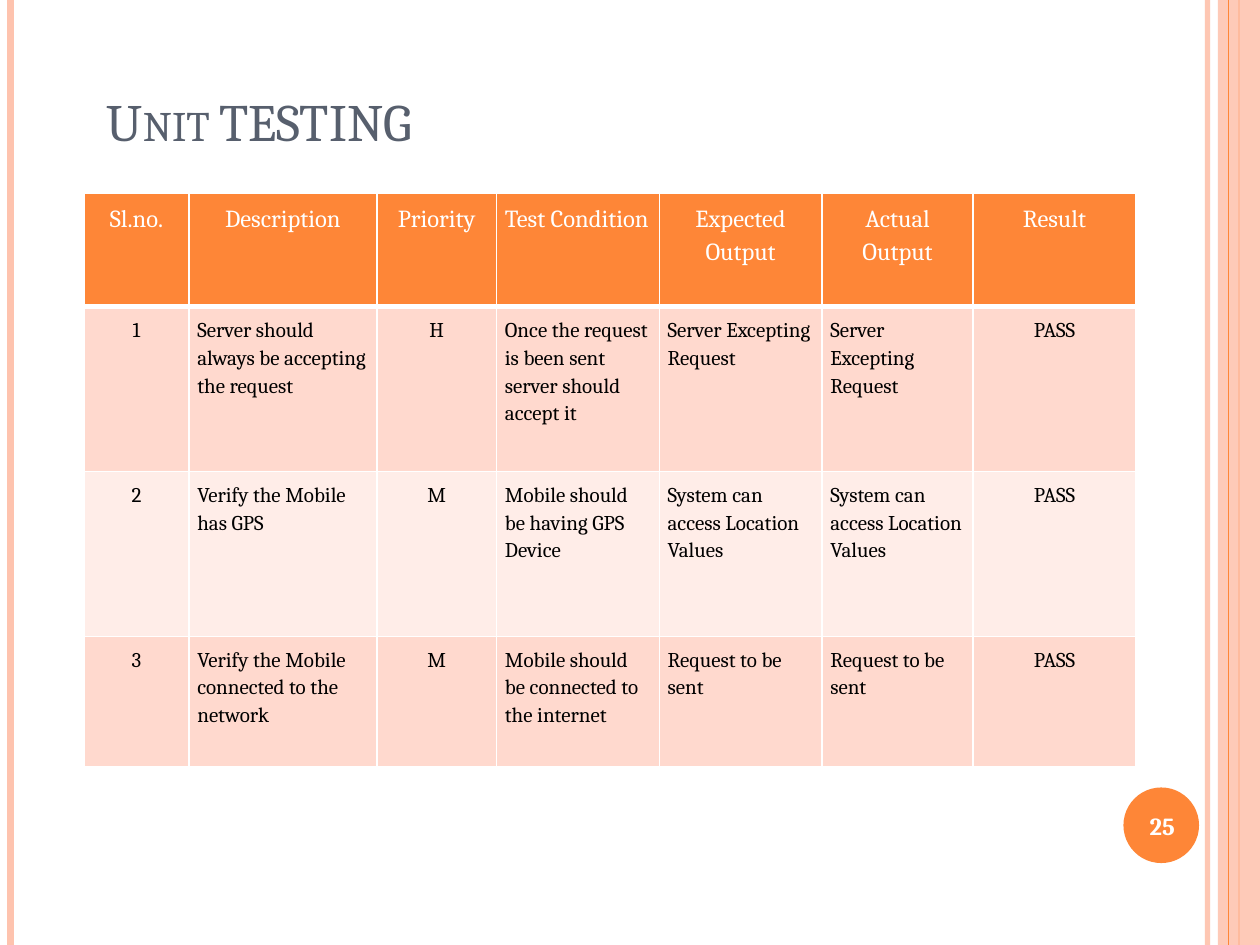
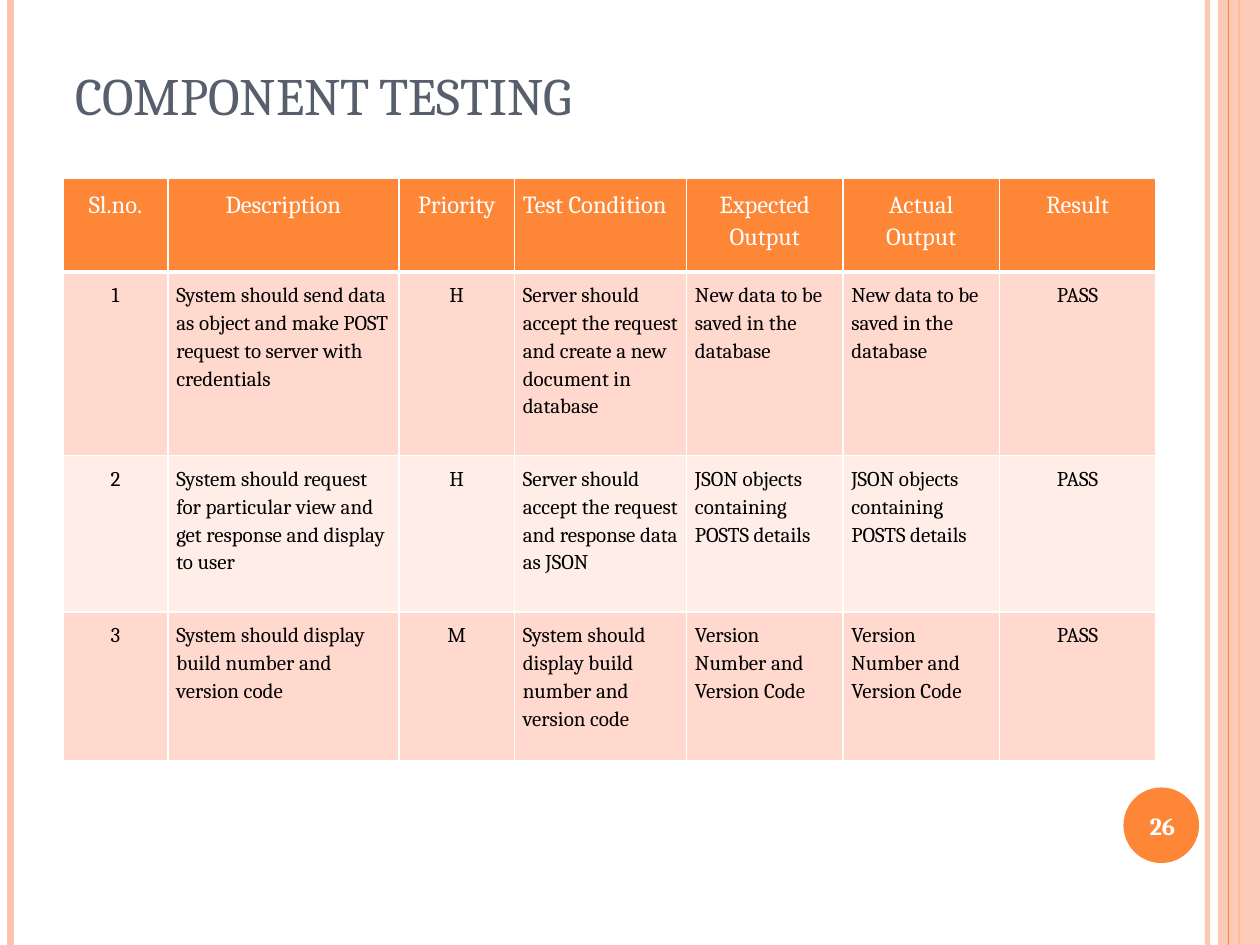
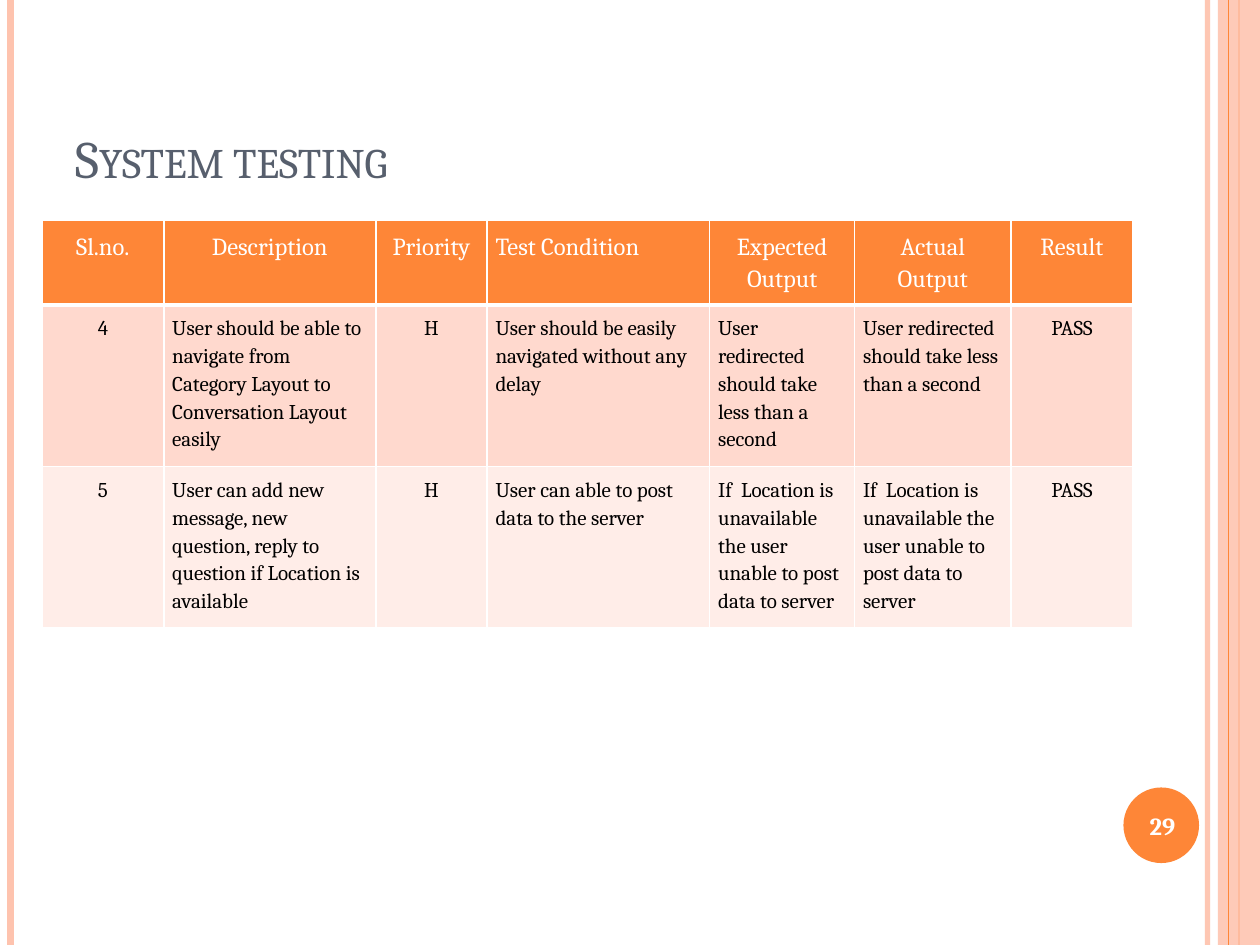
from lxml.etree import SubElement
from pptx import Presentation
from pptx.dml.color import RGBColor
from pptx.enum.shapes import MSO_CONNECTOR, MSO_SHAPE
from pptx.enum.text import MSO_ANCHOR, PP_ALIGN
from pptx.oxml.ns import qn
from pptx.util import Inches, Pt

ORANGE, PEACH, SLATE = "FE8637", "FEC3AE", "575F6D"
WHITE, BLACK = "FFFFFF", "000000"
BANDS = ("FFD9CE", "FFEDE8")
FONT = "Cambria"
COLUMNS, ROWS = 120, 90  # grid of twelfths of an inch
HEADINGS = ("Sl.no.", "Description", "Priority", "Test Condition",
            "Expected Output", "Actual Output", "Result")
CENTRED_HEADINGS = {0, 1, 2, 4, 5, 6}
CENTRED_CELLS = {0, 2, 6}


def grid(units):
    return Inches(units / 12)


def color(hex_value):
    return RGBColor.from_string(hex_value)


def paint(fill, hex_value, opacity=100):
    fill.solid()
    fill.fore_color.rgb = color(hex_value)
    if opacity < 100:
        tone = fill._xPr.find(".//" + qn("a:srgbClr"))
        SubElement(tone, qn("a:alpha"), val=str(opacity * 1000))


def outline_cell(cell, bottom_width):
    properties = cell._tc.get_or_add_tcPr()
    for side, width in (("L", 1), ("R", 1), ("T", 1), ("B", bottom_width)):
        line = SubElement(properties, qn("a:ln" + side), w=str(Pt(width)))
        solid = SubElement(line, qn("a:solidFill"))
        SubElement(solid, qn("a:srgbClr"), val=WHITE)


class TestReport:
    def __init__(self):
        self.deck = Presentation()
        self.deck.slide_width = grid(COLUMNS)
        self.deck.slide_height = grid(ROWS)
        self.page = None

    def start_page(self, number):
        """Add a slide with the side stripes and the numbered badge."""
        self.page = self.deck.slides.add_slide(self.deck.slide_layouts[6])
        paint(self.page.background.fill, WHITE)
        self.stripe(115, PEACH, 3, opacity=93)
        self.stripe(1, PEACH, 4.5)
        self.stripe(118, ORANGE, 1.5)
        self.shape(MSO_SHAPE.RECTANGLE, (116, 0, 4, ROWS), PEACH, opacity=87)
        self.stripe(117, ORANGE, 0.75)
        self.shape(MSO_SHAPE.OVAL, (107, 75, 7.2, 7.2), ORANGE)
        frame = self.text_box((106.7, 75.2, 8, 6.9), MSO_ANCHOR.MIDDLE)
        self.add_text(frame, str(number), 14, WHITE, centred=True, bold=True)

    def stripe(self, column, hex_value, width, opacity=100):
        x = grid(column)
        line = self.page.shapes.add_connector(
            MSO_CONNECTOR.STRAIGHT, x, 0, x, grid(ROWS))
        line.line.width = Pt(width)
        paint(line.line.fill, hex_value, opacity)
        SubElement(line._element.spPr, qn("a:effectLst"))

    def shape(self, kind, place, hex_value, opacity=100):
        shape = self.page.shapes.add_shape(kind, *map(grid, place))
        shape.shadow.inherit = False
        shape.line.fill.background()
        paint(shape.fill, hex_value, opacity)

    def text_box(self, place, anchor):
        frame = self.page.shapes.add_textbox(*map(grid, place)).text_frame
        frame.word_wrap = True
        frame.vertical_anchor = anchor
        return frame

    def add_text(self, frame, text, size, hex_value, centred=False, bold=False):
        para = frame.paragraphs[0]
        para.alignment = PP_ALIGN.CENTER if centred else PP_ALIGN.LEFT
        span = para.add_run()
        span.text = text
        span.font.name = FONT
        span.font.size = Pt(size)
        span.font.bold = bold
        span.font.color.rgb = color(hex_value)
        return para

    def title(self, text, left=6, top=3.6, lift=0):
        """Set the small-caps title, raised from the box bottom by lift."""
        frame = self.text_box((left, top, 98, 15), MSO_ANCHOR.BOTTOM)
        frame.margin_bottom = grid(0.6 + lift)
        para = self.add_text(frame, text, 30, SLATE)
        para.runs[0].font._element.set("cap", "small")

    def table(self, left, top, widths, heights, tests, first=1):
        """Draw passed tests, whose actual output equals the expected one."""
        records = [HEADINGS]
        for number, (*details, output) in enumerate(tests, first):
            records.append((str(number), *details, output, output, "PASS"))
        table = self.page.shapes.add_table(
            len(records), len(widths), grid(left), grid(top),
            grid(sum(widths)), grid(sum(heights))).table
        table.first_row = table.horz_banding = False
        for column, width in zip(table.columns, widths):
            column.width = grid(width)
        for index, (row, height) in enumerate(zip(table.rows, heights)):
            row.height = grid(height)
            for place, cell in enumerate(row.cells):
                self.fill_cell(cell, records[index][place], index, place)

    def fill_cell(self, cell, text, row, column):
        heading = row == 0
        outline_cell(cell, 3 if heading else 1)
        paint(cell.fill, ORANGE if heading else BANDS[(row - 1) % 2])
        cell.margin_left = cell.margin_right = grid(0.8)
        cell.margin_top = cell.margin_bottom = grid(0.8)
        centred = column in (CENTRED_HEADINGS if heading else CENTRED_CELLS)
        para = self.add_text(cell.text_frame, text, 14 if heading else 12,
                             WHITE if heading else BLACK, centred)
        para.line_spacing = 1.15
        para.space_after = Pt(6 if heading else 0)


def main():
    report = TestReport()

    report.start_page(25)
    report.title("Unit TESTING", left=9, top=0.12)
    report.table(
        8, 18.4, (10, 17.9, 11.4, 15.5, 15.5, 14.4, 15.5),
        (10.8, 15.7, 15.7, 12.4),
        [("Server should always be accepting the request", "H",
          "Once the request is been sent server should accept it",
          "Server Excepting Request"),
         ("Verify the Mobile has GPS", "M",
          "Mobile should be having GPS Device",
          "System can access Location Values"),
         ("Verify the Mobile connected to the network", "M",
          "Mobile should be connected to the internet",
          "Request to be sent")])

    report.start_page(26)
    report.title("COMPONENT TESTING", lift=6)
    report.table(
        6, 17, (10, 22, 11, 16.4, 14.9, 14.9, 14.9),
        (8.9, 17.5, 14.9, 14.2),
        [("System should send data as object and make POST request to server "
          "with credentials", "H",
          "Server should accept the request and create a new document in "
          "database", "New data to be saved in the database"),
         ("System should request for particular view and get response and "
          "display to user", "H",
          "Server should accept the request and response data as JSON",
          "JSON objects containing POSTS details"),
         ("System should display build number and version code", "M",
          "System should display build number and version code",
          "Version Number and Version Code")])

    report.start_page(29)
    report.title("System testing")
    report.table(
        4, 21, (11.6, 20.2, 10.6, 21.2, 13.8, 14.9, 11.6),
        (7.8, 14.9, 14.9),
        [("User should be able to navigate from Category Layout to "
          "Conversation Layout easily", "H",
          "User should be easily navigated without any delay",
          "User redirected should take less than a second"),
         ("User can add new message, new question, reply to question if "
          "Location is available", "H",
          "User can able to post data to the server",
          "If  Location is unavailable the user unable to post data to "
          "server")],
        first=4)

    report.deck.save("out.pptx")


if __name__ == "__main__":
    main()
